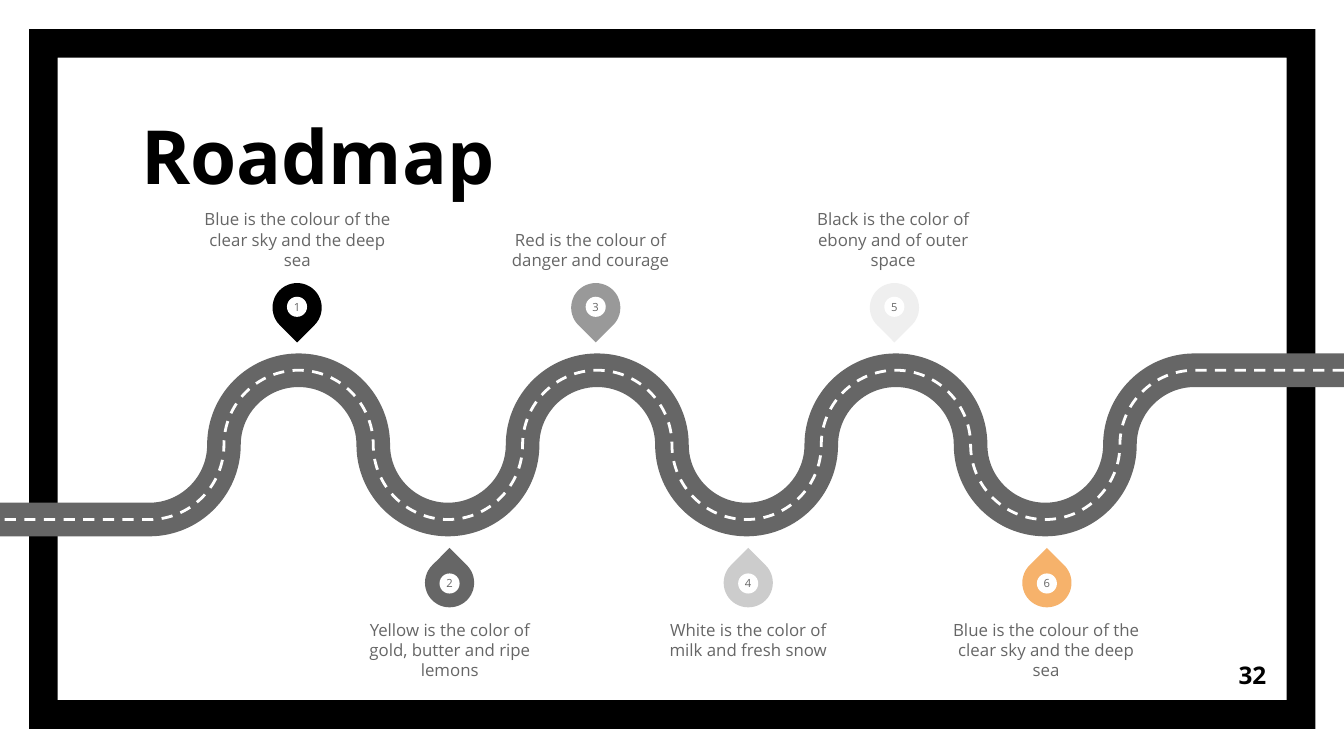
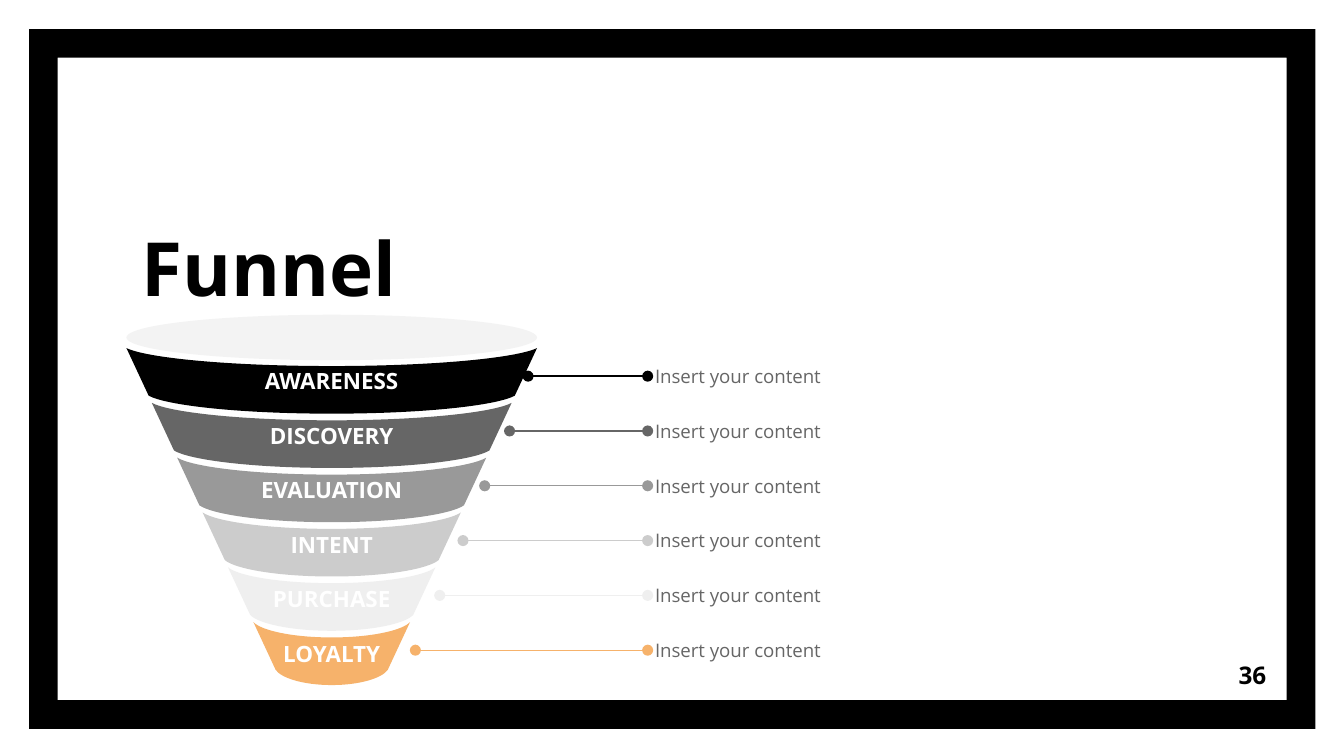
from lxml.etree import SubElement
from pptx import Presentation
from pptx.dml.color import RGBColor
from pptx.enum.dml import MSO_LINE
from pptx.enum.shapes import MSO_CONNECTOR, MSO_SHAPE
from pptx.enum.text import MSO_ANCHOR, PP_ALIGN
from pptx.oxml.ns import qn
from pptx.util import Cm, Pt

FONT = "Open Sans"
BLACK = RGBColor(0x00, 0x00, 0x00)
DARK = RGBColor(0x66, 0x66, 0x66)
MID = RGBColor(0x99, 0x99, 0x99)
LIGHT = RGBColor(0xCC, 0xCC, 0xCC)
PALE = RGBColor(0xEF, 0xEF, 0xEF)
RIM = RGBColor(0xF3, 0xF3, 0xF3)
ORANGE = RGBColor(0xF6, 0xB2, 0x6B)
WHITE = RGBColor(0xFF, 0xFF, 0xFF)
TONES = [BLACK, DARK, MID, LIGHT, PALE, ORANGE]

WIDE, HIGH = 25.4, 14.29

# Note, its left edge
STOPS = [
    ("Blue is the colour of the clear sky and the deep sea", 3.83),
    ("Yellow is the color of gold, butter and ripe lemons", 6.71),
    ("Red is the colour of danger and courage", 9.37),
    ("White is the color of milk and fresh snow", 12.35),
    ("Black is the color of ebony and of outer space", 15.09),
    ("Blue is the colour of the clear sky and the deep sea", 17.98),
]
# Stage, left end of its line, note
STAGES = [
    ("AWARENESS", 9.98, "Insert your content"),
    ("DISCOVERY", 9.63, "Insert your content"),
    ("EVALUATION", 9.16, "Insert your content"),
    ("INTENT", 8.75, "Insert your content"),
    ("PURCHASE", 8.31, "Insert your content"),
    ("LOYALTY", 7.85, "Insert your content"),
]

# Road: one bend per pitch, swinging about the middle height
PITCH = WIDE / 9
BEND = PITCH / 2
ROAD_Y = 8.41
PIN, DOT = 0.93, 0.38
NOTE_W, NOTE_H = 3.58, 1.47
# Tops of pin, dot and note, then shift, turn and anchor
ABOVE = (5.35, 5.61, 3.63, -0.03, 135, MSO_ANCHOR.BOTTOM)
BELOW = (10.55, 10.84, 11.71, 0.03, 315, MSO_ANCHOR.TOP)

# Funnel
MOUTH_X, MOUTH_Y = 6.27, 6.58
MOUTH_W = 3.88
BAND_STEP, BAND_H = 5.18 / 5, 0.9
SHRINK, TAPER = 0.48, 0.42
LINE_Y, LINE_END, NOTE_X = 7.11, 12.24, 12.38


def write(shape, text, size, color, bold=False, align=PP_ALIGN.LEFT,
          anchor=MSO_ANCHOR.MIDDLE, inset=0):
    frame = shape.text_frame
    frame.text = text
    frame.word_wrap = True
    frame.vertical_anchor = anchor
    frame.margin_left = frame.margin_right = Cm(inset)
    frame.margin_top = frame.margin_bottom = Cm(inset)
    para = frame.paragraphs[0]
    para.alignment = align
    font = para.runs[0].font
    font.name, font.size, font.bold = FONT, Pt(size), bold
    font.color.rgb = color


def label(slide, box, *args, **kwargs):
    shape = slide.shapes.add_textbox(*map(Cm, box))
    write(shape, *args, **kwargs)


def paint(shape, color):
    shape.shadow.inherit = False
    shape.fill.solid()
    shape.fill.fore_color.rgb = color
    shape.line.fill.background()


def solid(slide, kind, box, color):
    shape = slide.shapes.add_shape(kind, *map(Cm, box))
    paint(shape, color)
    return shape


def outline(slide, origin, legs, close):
    """Draw legs of one point (a line) or three points (a curve)."""
    path = slide.shapes.build_freeform(*map(Cm, origin))
    path.add_line_segments([tuple(map(Cm, leg[-1])) for leg in legs], close)
    shape = path.convert_to_shape()
    left, top = shape.left, shape.top
    parts = list(shape._element.iter(qn("a:lnTo")))
    for part, leg in zip(parts, legs):
        if len(leg) == 3:
            curve = part.makeelement(qn("a:cubicBezTo"))
            for x, y in leg:
                SubElement(curve, qn("a:pt"), x=str(Cm(x) - left),
                           y=str(Cm(y) - top))
            part.getparent().replace(part, curve)
    return shape


def start(deck, title, page, title_h):
    """Add a slide with the frame, title and page number."""
    slide = deck.slides.add_slide(deck.slide_layouts[6])
    frame = solid(slide, MSO_SHAPE.FRAME, (0.55, 0.55, 24.31, 13.23), BLACK)
    frame.adjustments[0] = 0.041
    label(slide, (2.42, 2.36, 14.15, title_h), title, 40, BLACK, True,
          anchor=MSO_ANCHOR.BOTTOM, inset=0.25)
    label(slide, (22.66, 12.21, 1.52, 1.09), page, 13, BLACK, True,
          PP_ALIGN.RIGHT, inset=0.25)
    return slide


def bends():
    """Legs of the road from right to left, in quarter circles."""
    levels = [ROAD_Y - BEND, ROAD_Y, ROAD_Y + BEND, ROAD_Y]
    pull = 0.55
    legs = [[(8 * PITCH, levels[0])]]
    for k in range(14):
        x, y = 8 * PITCH - k * BEND, levels[k % 4]
        end, level = x - BEND, levels[(k + 1) % 4]
        if k % 2:
            first = (x, y + pull * (level - y))
            second = (end + pull * BEND, level)
        else:
            first = (x - pull * BEND, y)
            second = (end, level - pull * (level - y))
        legs.append([first, second, (end, level)])
    return legs + [[(0, levels[2])]]


def stroke(slide, legs, color, width, dash=None):
    shape = outline(slide, (WIDE, ROAD_Y - BEND), legs, False)
    shape.shadow.inherit = False
    shape.fill.background()
    shape.line.color.rgb = color
    shape.line.width = Pt(width)
    if dash:
        shape.line.dash_style = dash


def roadmap(deck):
    slide = start(deck, "Roadmap", "32", 1.66)
    road = bends()
    stroke(slide, road, DARK, 18)
    stroke(slide, road, WHITE, 1.5, MSO_LINE.DASH)
    for n, ((text, left), tone) in enumerate(zip(STOPS, TONES), 1):
        pin_y, dot_y, note_y, shift, turn, anchor = ABOVE if n % 2 else BELOW
        x = (n + 1) * PITCH + shift
        pin = solid(slide, MSO_SHAPE.TEAR, (x - PIN / 2, pin_y, PIN, PIN), tone)
        pin.rotation = turn
        dot = solid(slide, MSO_SHAPE.OVAL, (x - DOT / 2, dot_y, DOT, DOT), WHITE)
        write(dot, str(n), 6, DARK, align=PP_ALIGN.CENTER)
        label(slide, (left, note_y, NOTE_W, NOTE_H), text, 9, DARK,
              align=PP_ALIGN.CENTER, anchor=anchor)


def sag(half, top, depth):
    """Points of a hanging curve: left end, two curves of three points."""
    shape = [(-1, 0), (-0.9, 0.55), (-0.5, 1), (0, 1),
             (0.5, 1), (0.9, 0.55), (1, 0)]
    return [(MOUTH_X + half * x, top + depth * y) for x, y in shape]


def band(slide, half, top, depth):
    upper = sag(half, top, depth)
    lower = sag(half - TAPER, top + BAND_H, depth)[::-1]
    legs = [upper[1:4], upper[4:], lower[:1], lower[1:4], lower[4:]]
    return outline(slide, upper[0], legs, True)


def tie(slide, x, y, color):
    """Draw a level line with a round dot at each end."""
    line = slide.shapes.add_connector(
        MSO_CONNECTOR.STRAIGHT, Cm(x), Cm(y), Cm(LINE_END), Cm(y))
    line.line.color.rgb = color
    line.line.width = Pt(0.75)
    stem = line.line._get_or_add_ln()
    for end in ("a:headEnd", "a:tailEnd"):
        SubElement(stem, qn(end), type="oval")
    SubElement(line._element.spPr, qn("a:effectLst"))


def funnel(deck):
    slide = start(deck, "Funnel", "36", 3.78)
    for i, ((name, x, note), tone) in enumerate(zip(STAGES, TONES)):
        stage = band(slide, MOUTH_W - i * SHRINK, MOUTH_Y + i * BAND_STEP,
                     0.34 - i * 0.01)
        paint(stage, tone)
        write(stage, name, 12, WHITE, True, PP_ALIGN.CENTER, inset=0.1)
        y = LINE_Y + i * BAND_STEP
        tie(slide, x, y, tone)
        label(slide, (NOTE_X, y - 0.37, 5.99, 0.74), note, 10, DARK)
    solid(slide, MSO_SHAPE.OVAL,
          (MOUTH_X - MOUTH_W, 5.95, 2 * MOUTH_W, 0.86), RIM)


def main():
    deck = Presentation()
    deck.slide_width, deck.slide_height = Cm(WIDE), Cm(HIGH)
    roadmap(deck)
    funnel(deck)
    deck.save("out.pptx")


if __name__ == "__main__":
    main()
